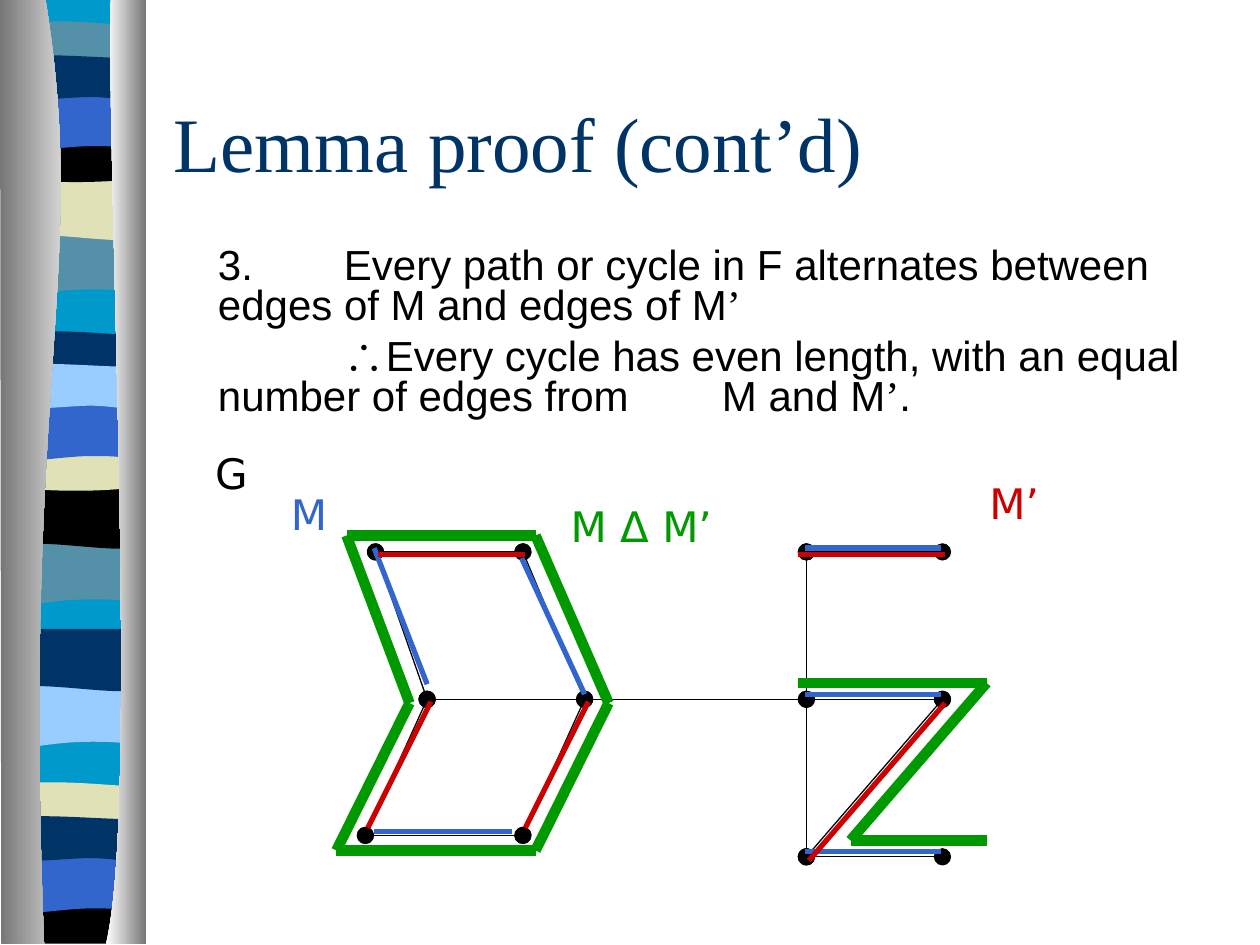
from itertools import pairwise

from lxml.etree import SubElement
from pptx import Presentation
from pptx.dml.color import RGBColor
from pptx.enum.shapes import MSO_CONNECTOR
from pptx.enum.text import MSO_ANCHOR, MSO_AUTO_SIZE, PP_ALIGN
from pptx.oxml.ns import qn
from pptx.util import Pt

PX = 9144  # EMU per px, 100 px to the inch

BLACK = RGBColor(0x00, 0x00, 0x00)
WHITE = RGBColor(0xFF, 0xFF, 0xFF)
GREY = RGBColor(0x76, 0x76, 0x76)
NAVY = RGBColor(0x00, 0x33, 0x66)
BLUE = RGBColor(0x33, 0x66, 0xCC)
SKY = RGBColor(0x99, 0xCC, 0xFF)
TEAL = RGBColor(0x00, 0x99, 0xCC)
STEEL = RGBColor(0x54, 0x90, 0xA8)
SAND = RGBColor(0xE1, 0xE1, 0xB7)
RED = RGBColor(0xCC, 0x00, 0x00)
GREEN = RGBColor(0x00, 0x99, 0x00)

presentation = Presentation()
presentation.slide_width = 1000 * PX
presentation.slide_height = 750 * PX
slide = presentation.slides.add_slide(presentation.slide_layouts[1])


def add_outline(segments, top=0):
    """Draw a closed outline; pairs are line ends, sextuples are Bezier curves."""
    points = [(segment[i], segment[i + 1] + top)
              for segment in segments for i in range(0, len(segment), 2)]
    builder = slide.shapes.build_freeform(*points[0], scale=PX)
    builder.add_line_segments(points[1:], close=True)
    shape = builder.convert_to_shape()
    lines = iter(list(shape._element.iter(qn("a:lnTo"))))
    for segment in segments[1:]:
        line = next(lines)
        if len(segment) == 6:
            line.tag = qn("a:cubicBezTo")
            for control in (next(lines), next(lines)):
                line.append(control[0])
                control.getparent().remove(control)
    shape.shadow.inherit = False
    shape.line.fill.background()
    return shape


def add_line(start, end, color, width):
    connector = slide.shapes.add_connector(
        MSO_CONNECTOR.STRAIGHT, *(value * PX for value in (*start, *end)))
    connector.line.color.rgb = color
    connector.line.width = Pt(width)
    SubElement(connector._element.spPr, qn("a:effectLst"))
    return connector


# Ribbon on the left: each band is a profile placed at its own top
WAVE = [(114, 0), (114, 47), (39, 39, 24, 55, 6, 47), (6, 0)]
RIPPLE = [(114, 0), (114, 47), (96, 55, 39, 41, 6, 47), (6, 0)]
LENS = [(114, 5), (114, 29), (96, 33, 24, 33, 6, 29), (6, 5),
        (12, 0, 29, 1, 47, 1), (65, 1, 100, 4, 114, 5)]
BOWL = [(114, 0), (114, 32), (96, 38, 24, 38, 6, 32), (6, 0), (72, 5, 91, 0, 114, 0)]
FOOT = [(114, 0), (114, 37), (6, 37), (6, 0), (72, 5, 91, 0, 114, 0)]
HILL = [(114, 0), (114, 47), (97, 42, 90, 42, 72, 42), (54, 42, 22, 47, 6, 47), (6, 0)]
FLAG = [(114, 5), (114, 36), (107, 41, 90, 36, 72, 36), (54, 36, 17, 41, 6, 36),
        (6, 5), (21, 0, 79, 5, 97, 5), (115, 5, 110, 5, 114, 5)]
BASE = [(114, -1), (114, 747), (6, 747), (6, -1)]

bands = [
    (BASE, 0, TEAL),
    (WAVE, 185, STEEL), (RIPPLE, 141, SAND), (LENS, 16, STEEL), (BOWL, 108, BLACK),
    (HILL, 74, BLUE), (FLAG, 41, NAVY),
    (WAVE, 431, STEEL), (RIPPLE, 386, BLACK), (LENS, 262, NAVY), (BOWL, 353, SAND),
    (HILL, 320, BLUE), (FLAG, 286, SKY),
    (WAVE, 544, SKY), (RIPPLE, 499, NAVY), (LENS, 620, SAND), (FOOT, 712, BLACK),
    (HILL, 679, BLUE), (FLAG, 645, NAVY),
]
for profile, top, color in bands:
    band = add_outline(profile, top)
    band.fill.solid()
    band.fill.fore_color.rgb = color

curtains = [
    ([(36, -1), (71, 216, 17, 296, 35, 749), (1, 749), (0, -1)], GREY, WHITE),
    ([(88, -1), (84, 125, 111, 646, 84, 749), (116, 749), (116, 0)], WHITE, GREY),
]
for outline, left_color, right_color in curtains:
    fill = add_outline(outline).fill
    fill.gradient()
    fill.gradient_angle = 0
    for stop, color in zip(fill.gradient_stops, (left_color, right_color)):
        stop.color.rgb = color

# Title and argument
title, body = slide.placeholders
for placeholder, box in ((title, (128, 50, 850, 125)), (body, (125, 192, 850, 158))):
    placeholder.left, placeholder.top, placeholder.width, placeholder.height = (
        value * PX for value in box)
    placeholder.text_frame.auto_size = MSO_AUTO_SIZE.NONE

title.text_frame.vertical_anchor = MSO_ANCHOR.MIDDLE
title.text_frame.text = "Lemma proof (cont’d)"
paragraph = title.text_frame.paragraphs[0]
paragraph.alignment = PP_ALIGN.LEFT
paragraph.font.size = Pt(44)
paragraph.font.name = "Times New Roman"
paragraph.font.color.rgb = NAVY

body.text_frame.vertical_anchor = MSO_ANCHOR.TOP
argument = [
    ["\t3. \tEvery path or cycle in F alternates between \tedges of M and edges of M", "’"],
    ["\t\t∴Every cycle has even length, with an equal \tnumber of edges from \tM and M",
     "’", "."],
]
for index, texts in enumerate(argument):
    paragraph = body.text_frame.add_paragraph() if index else body.text_frame.paragraphs[0]
    properties = paragraph._p.get_or_add_pPr()
    properties.set("marL", str(38 * PX))
    properties.set("indent", str(-38 * PX))
    properties.set("defTabSz", str(100 * PX))
    SubElement(properties, qn("a:buNone"))
    paragraph.line_spacing = 0.8
    paragraph.space_before = Pt(6 * index)
    paragraph.font.size = Pt(24)
    paragraph.font.color.rgb = BLACK
    for text in texts:
        run = paragraph.add_run()
        run.text = text
        run.font.name = "Times New Roman" if text == "’" else "Arial"

# Graph G
nodes = {
    "a": (298, 438), "b": (415, 438), "c": (339, 555), "d": (464, 555),
    "e": (290, 663), "f": (415, 663), "g": (640, 438), "h": (748, 438),
    "i": (640, 555), "j": (748, 555), "k": (640, 680), "l": (748, 680),
}
for start, end in "ab ac bd ce df ci ef gk gh ij kl kj".split():
    edge = add_line(nodes[start], nodes[end], BLACK, 0.75)
    for tag in ("a:headEnd", "a:tailEnd"):
        SubElement(edge.line._get_or_add_ln(), qn(tag), type="oval", w="lg", len="lg")

# Matchings M and M’, then their symmetric difference
matching_m = [
    [(297, 435), (339, 543)], [(414, 443), (464, 551)], [(297, 660), (406, 660)],
    [(639, 676), (747, 676)], [(639, 551), (747, 551)], [(639, 435), (747, 435)],
]
matching_m_prime = [
    [(292, 657), (342, 557)], [(417, 657), (467, 557)], [(300, 440), (417, 440)],
    [(633, 440), (750, 440)], [(642, 683), (750, 558)],
]
difference = [
    [(267, 675), (325, 558), (275, 425), (425, 425), (483, 558), (425, 675), (267, 675)],
    [(633, 542), (783, 542), (675, 667), (783, 667)],
]
for paths, color, width in ((matching_m, BLUE, 3), (matching_m_prime, RED, 3),
                            (difference, GREEN, 6)):
    for path in paths:
        for start, end in pairwise(path):
            add_line(start, end, color, width)

labels = [
    ("G", 161, 350, 40, BLACK), ("M", 221, 383, 40, BLUE),
    ("M’", 775, 374, 60, RED), ("M Δ M’", 439, 392, 140, GREEN),
]
for text, left, top, width, color in labels:
    label = slide.shapes.add_textbox(left * PX, top * PX, width * PX, 50 * PX)
    label.text_frame.word_wrap = False
    label.text_frame.text = text
    paragraph = label.text_frame.paragraphs[0]
    paragraph.alignment = PP_ALIGN.CENTER
    paragraph.font.size = Pt(24)
    paragraph.font.name = "DejaVu Sans"
    paragraph.font.color.rgb = color

presentation.save("out.pptx")
